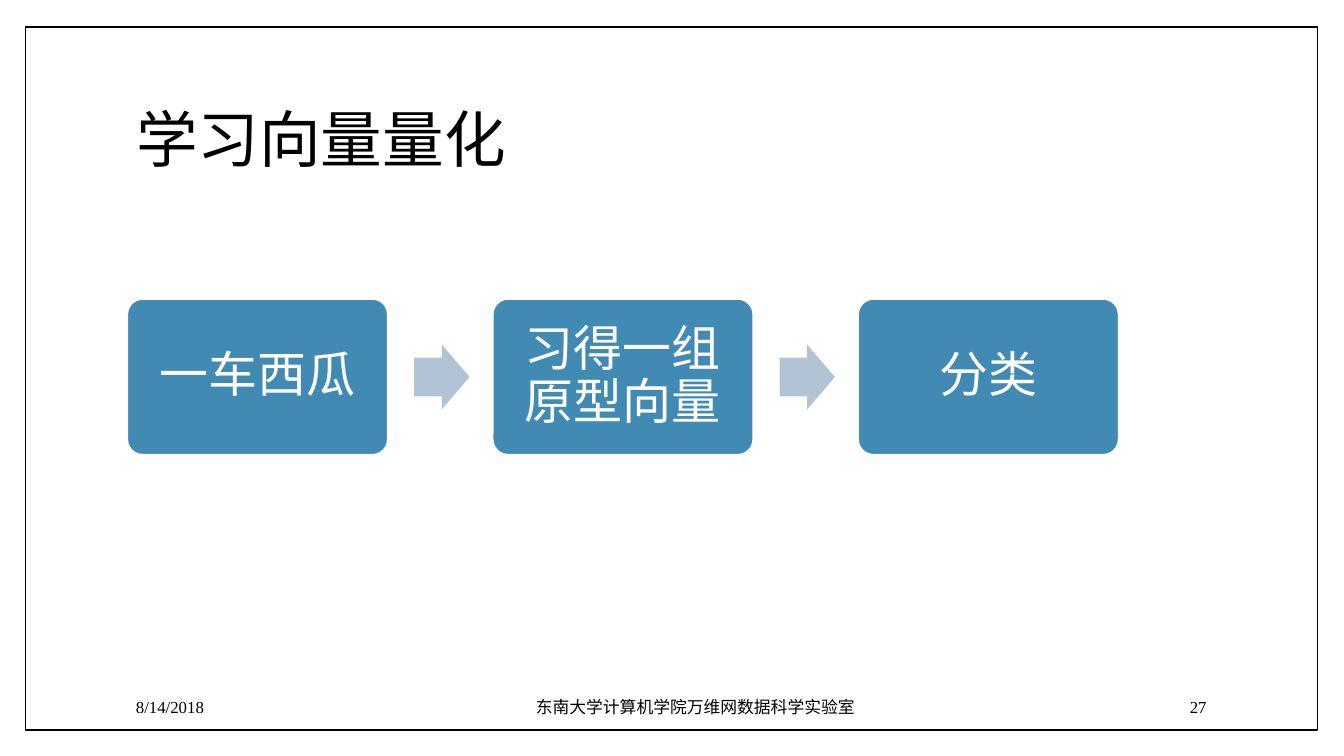
from pptx import Presentation
from pptx.dml.color import RGBColor
from pptx.enum.shapes import MSO_SHAPE
from pptx.enum.text import MSO_ANCHOR, PP_ALIGN
from pptx.util import Pt

COLORS = {"ink": "000000", "paper": "FFFFFF", "step": "418AB3", "arrow": "B0C4D6"}


def add_shape(kind, box, fill, line=None, width=1):
    shape = slide.shapes.add_shape(kind, *map(Pt, box))
    shape.shadow.inherit = False
    shape.fill.solid()
    shape.fill.fore_color.rgb = RGBColor.from_string(COLORS[fill])
    if line:
        shape.line.color.rgb = RGBColor.from_string(COLORS[line])
        shape.line.width = Pt(width)
    else:
        shape.line.fill.background()
    return shape


def write(shape, text, size, font, color, align):
    """Fill a shape with one vertically centred paragraph and return it."""
    frame = shape.text_frame
    frame.text = text
    frame.word_wrap = True
    frame.vertical_anchor = MSO_ANCHOR.MIDDLE
    para = frame.paragraphs[0]
    para.alignment = align
    face = para.runs[0].font
    face.size = Pt(size)
    face.name = font
    face.color.rgb = RGBColor.from_string(COLORS[color])
    return para


deck = Presentation()
deck.slide_width, deck.slide_height = Pt(960), Pt(540)
slide = deck.slides.add_slide(deck.slide_layouts[5])

# Title and page border
title = slide.shapes.title
title.left, title.top, title.width, title.height = Pt(90), Pt(48.5), Pt(777.6), Pt(106.5)
para = write(title, "学习向量量化", 44, "Times New Roman", "ink", PP_ALIGN.LEFT)
para.line_spacing = 0.9
border = add_shape(MSO_SHAPE.RECTANGLE, (18, 19.4, 923, 502), "paper", "ink")
title.element.addprevious(border.element)

# Process steps, with an arrow between each pair
STEPS = ["一车西瓜", "习得一组原型向量", "分类"]
LEFT, TOP, WIDTH, HEIGHT, PITCH = 90.8, 213.4, 186.4, 111.6, 261
for i, step in enumerate(STEPS):
    x = LEFT + i * PITCH
    card = add_shape(MSO_SHAPE.ROUNDED_RECTANGLE, (x, TOP, WIDTH, HEIGHT),
                     "step", "paper", 1.5)
    card.adjustments[0] = 0.1
    para = write(card, step, 35, "Calibri", "paper", PP_ALIGN.CENTER)
    para.line_spacing = 0.9
    frame = card.text_frame
    frame.margin_left = frame.margin_right = Pt(10.5)
    frame.margin_top = frame.margin_bottom = Pt(10.5)
    if i < len(STEPS) - 1:
        arrow = add_shape(MSO_SHAPE.RIGHT_ARROW, (x + 205, 246.2, 39.6, 46.2), "arrow")
        arrow.adjustments[0] = 0.6
        arrow.adjustments[1] = 0.5

# Footer
FOOTER = [
    ("8/14/2018", 90, 183.6, "Times New Roman", PP_ALIGN.LEFT),
    ("东南大学计算机学院万维网数据科学实验室", 311, 371.5, "Calibri", PP_ALIGN.CENTER),
    ("27", 734.4, 134.6, "Times New Roman", PP_ALIGN.RIGHT),
]
for text, x, width, font, align in FOOTER:
    box = slide.shapes.add_textbox(Pt(x), Pt(490.5), Pt(width), Pt(28.8))
    write(box, text, 12, font, "ink", align)

deck.save("out.pptx")
